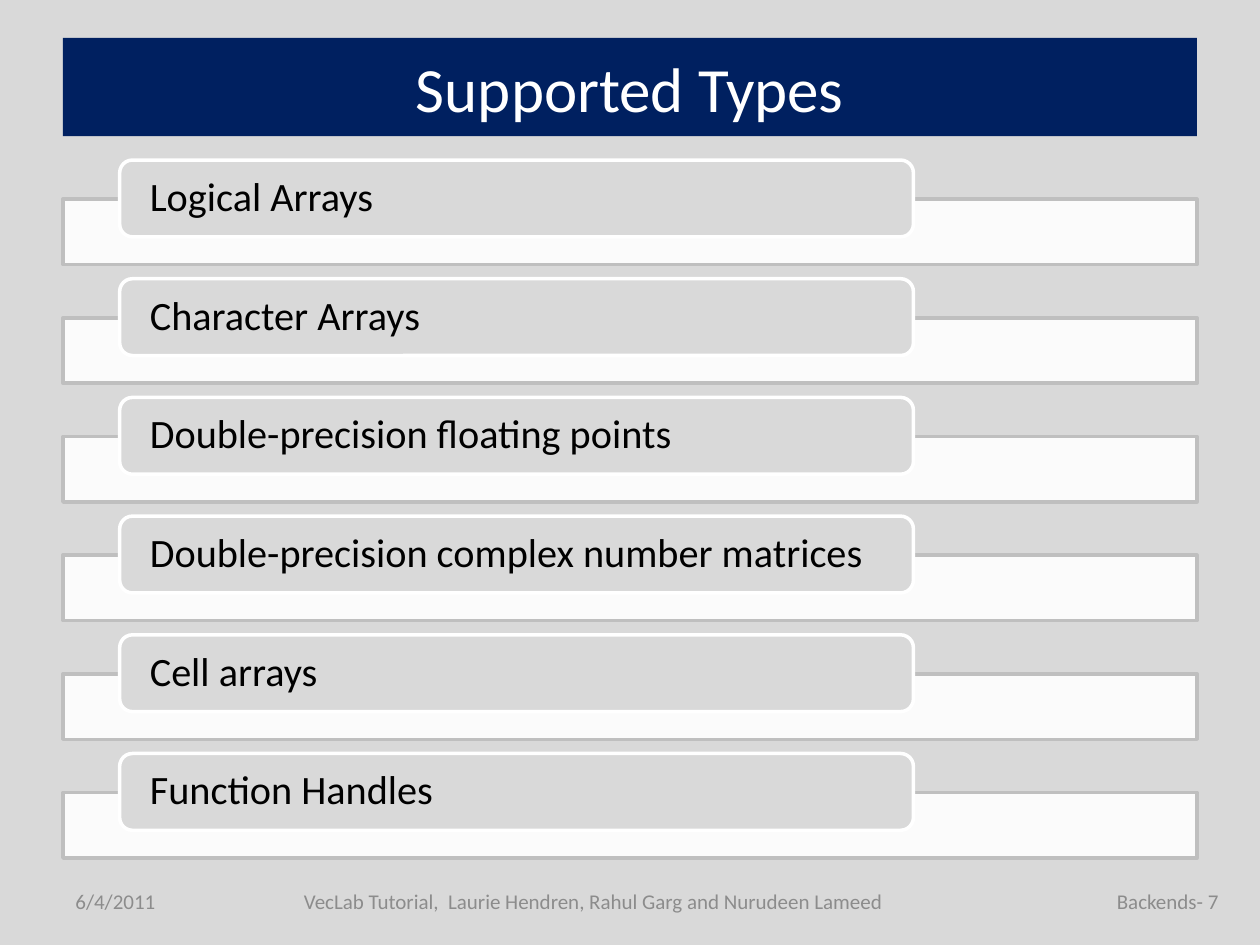
from dataclasses import dataclass

from lxml import etree
from pptx import Presentation, util as u
from pptx.dml.color import RGBColor
from pptx.enum import shapes, text
from pptx.oxml.ns import qn


@dataclass(frozen=True)
class Theme:
    font: str = "Calibri"
    grey: str = "D9D9D9"
    navy: str = "002060"
    white: str = "FFFFFF"
    black: str = "000000"
    muted: str = "8C8C8C"
    border: str = "BFBFBF"
    title_size: int = 36
    label_size: int = 23
    footer_size: int = 12


THEME = Theme()
TYPES = [
    "Logical Arrays",
    "Character Arrays",
    "Double-precision floating points",
    "Double-precision complex number matrices",
    "Cell arrays",
    "Function Handles",
]
ALIGN = text.PP_ALIGN
FOOTERS = [
    ("6/4/2011", 0.5, 0.92, ALIGN.LEFT),
    ("VecLab Tutorial,  Laurie Hendren, Rahul Garg and Nurudeen Lameed", 2, 5.42, ALIGN.CENTER),
    ("Backends- 7", 8.67, 1.1, ALIGN.RIGHT),
]
FIRST_BAR, LAST_BAR = 1.58, 6.29
LABEL_RISE = 0.31  # how far a label stands above its bar


def apply_format(target, values):
    for name, value in values.items():
        setattr(target, name, value)


def write(shape, words, size, color, align=ALIGN.LEFT, frame=None, paragraph=None):
    box = shape.text_frame
    apply_format(box, {"word_wrap": True,
                       "vertical_anchor": text.MSO_ANCHOR.MIDDLE, **(frame or {})})
    para = box.paragraphs[0]
    apply_format(para, {"alignment": align, **(paragraph or {})})
    span = para.add_run()
    span.text = words
    apply_format(span.font, {"name": THEME.font, "size": u.Pt(size)})
    span.font.color.rgb = RGBColor.from_string(color)


def add_block(page, kind, place, fill, line=None, opacity=None):
    block = page.shapes.add_shape(kind, *map(u.Inches, place))
    block.shadow.inherit = False
    block.fill.solid()
    block.fill.fore_color.rgb = RGBColor.from_string(fill)
    if opacity is not None:
        color = block._element.spPr.find(qn("a:solidFill"))[0]
        etree.SubElement(color, qn("a:alpha"), val=str(opacity * 1000))
    if line:
        block.line.color.rgb = RGBColor.from_string(line)
        block.line.width = u.Pt(2)
    else:
        block.line.fill.background()
    return block


def add_title(page):
    banner = add_block(page, shapes.MSO_SHAPE.RECTANGLE, (0.5, 0.3, 9, 0.78), THEME.navy)
    write(banner, "Supported Types", THEME.title_size, THEME.white, ALIGN.CENTER)


def add_type_row(page, words, top):
    add_block(page, shapes.MSO_SHAPE.RECTANGLE, (0.5, top, 9, 0.52),
              THEME.white, THEME.border, opacity=90)
    label = add_block(page, shapes.MSO_SHAPE.ROUNDED_RECTANGLE,
                      (0.95, top - LABEL_RISE, 6.3, 0.61), THEME.grey, THEME.white)
    # The rounded corners add a little to the side margins
    side = u.Inches(0.21)
    write(label, words, THEME.label_size, THEME.black,
          frame={"margin_left": side, "margin_right": side,
                 "margin_top": 0, "margin_bottom": 0},
          paragraph={"line_spacing": 0.9})


def add_footer(page, words, left, width, align):
    box = page.shapes.add_textbox(*map(u.Inches, (left, 6.95, width, 0.4)))
    write(box, words, THEME.footer_size, THEME.muted, align)


def main():
    deck = Presentation()
    apply_format(deck, {"slide_width": u.Inches(10), "slide_height": u.Inches(7.5)})
    page = deck.slides.add_slide(deck.slide_layouts[6])
    page.background.fill.solid()
    page.background.fill.fore_color.rgb = RGBColor.from_string(THEME.grey)

    # Title banner
    add_title(page)

    # Footer line
    for footer in FOOTERS:
        add_footer(page, *footer)

    # Evenly spaced list of types
    pitch = (LAST_BAR - FIRST_BAR) / (len(TYPES) - 1)
    for index, words in enumerate(TYPES):
        add_type_row(page, words, FIRST_BAR + index * pitch)

    deck.save("out.pptx")


if __name__ == "__main__":
    main()
